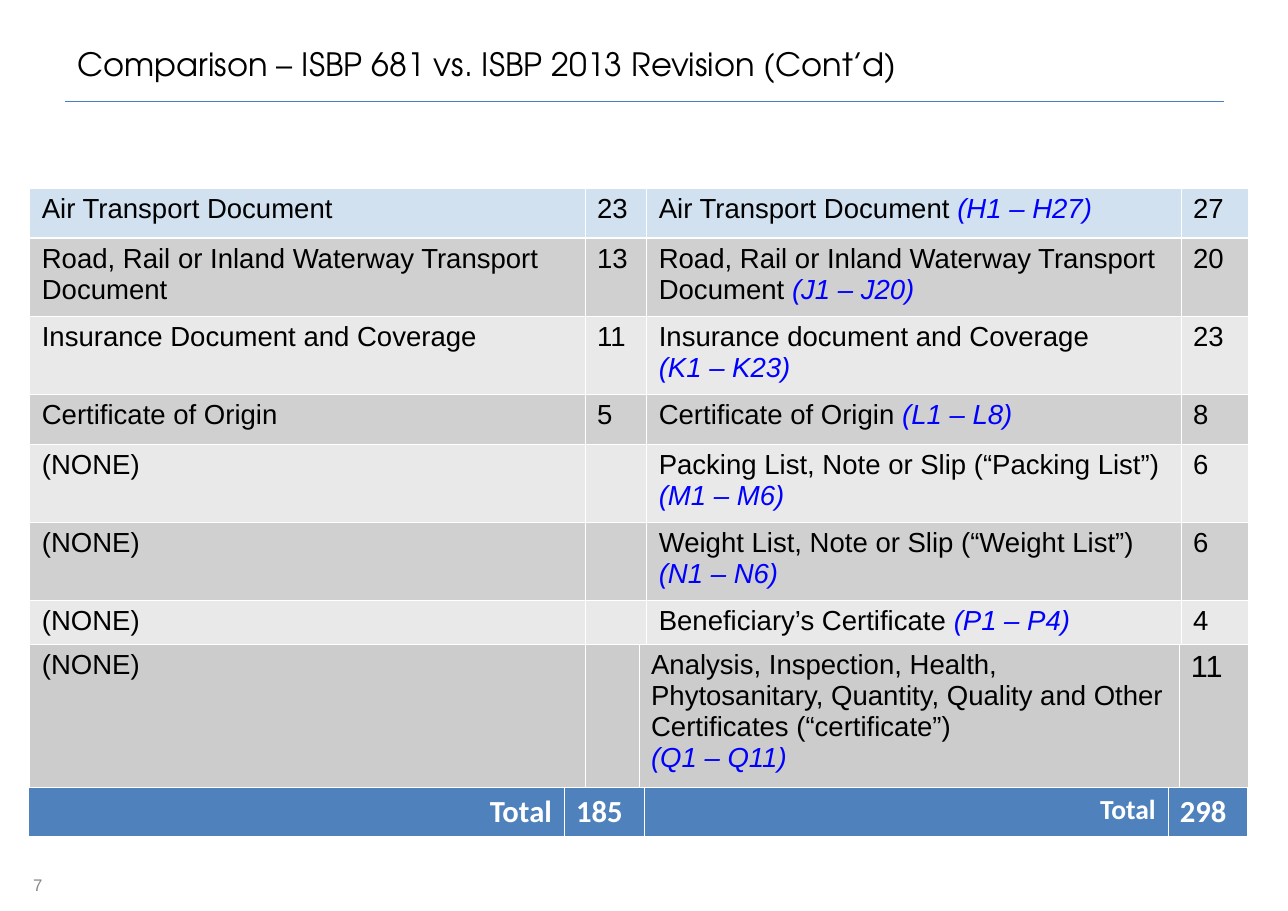
import pptx
import pptx.util
import pptx.dml.color
import pptx.enum.shapes
import pptx.enum.text
from lxml import etree
from pptx.oxml.ns import qn

Inches, Pt = pptx.util.Inches, pptx.util.Pt
RGBColor = pptx.dml.color.RGBColor
ALIGN = pptx.enum.text.PP_ALIGN

BLACK = RGBColor(0x00, 0x00, 0x00)
WHITE = RGBColor(0xFF, 0xFF, 0xFF)
BLUE = RGBColor(0x00, 0x00, 0xFF)
GREY = RGBColor(0x89, 0x89, 0x89)
RULE = RGBColor(0x4A, 0x7E, 0xBB)
HEADER_FILL = RGBColor(0xD1, 0xE1, 0xF0)
DARK_FILL = RGBColor(0xD0, 0xD0, 0xD0)
LIGHT_FILL = RGBColor(0xE9, 0xE9, 0xE9)
ANALYSIS_FILL = RGBColor(0xCC, 0xCC, 0xCC)
TOTAL_FILL = RGBColor(0x4F, 0x81, 0xBD)

# Content: each cell is a list of (text, format name); \v is a line break
TITLE = "Comparison – ISBP 681 vs. ISBP 2013 Revision (Cont’d)"
PAGE_NUMBER = "7"
NONE = "(NONE)"
DOCUMENTS = [  # old document, old count, new document, paragraphs, new count
    ("Air Transport Document", "23", "Air Transport Document ", "(H1 – H27)", "27"),
    ("Road, Rail or Inland Waterway Transport Document", "13",
     "Road, Rail or Inland Waterway Transport Document ", "(J1 – J20)", "20"),
    ("Insurance Document and Coverage", "11",
     "Insurance document and Coverage\v", "(K1 – K23)", "23"),
    ("Certificate of Origin", "5", "Certificate of Origin ", "(L1 – L8)", "8"),
    (NONE, "", "Packing List, Note or Slip (“Packing List”)\v", "(M1 – M6)", "6"),
    (NONE, "", "Weight List, Note or Slip (“Weight List”)\v", "(N1 – N6)", "6"),
    (NONE, "", "Beneficiary’s Certificate ", "(P1 – P4)", "4"),
]
ANALYSIS = (NONE, "", "Analysis, Inspection, Health, Phytosanitary, Quantity, "
            "Quality and Other Certificates (“certificate”)\v", "(Q1 – Q11)", "11")

FORMATS = {
    "title": dict(name="TeX Gyre Adventor", size=Pt(21), color=BLACK),
    "number": dict(name="Arial", size=Pt(11), color=GREY),
    "body": dict(name="Arial", size=Pt(18), color=BLACK),
    "large": dict(name="Arial", size=Pt(20), color=BLACK),
    "reference": dict(name="Arial", size=Pt(18), color=BLUE, italic=True),
    "total": dict(name="Calibri", size=Pt(20), color=WHITE, bold=True),
    "small total": dict(name="Calibri", size=Pt(18), color=WHITE, bold=True),
}


def document_row(document, count_format="body"):
    old, old_count, new, reference, new_count = document
    return [[(old, "body")], [(old_count, "body")],
            [(new, "body"), (reference, "reference")], [(new_count, count_format)]]


TOTALS = [[("Total", "total")], [("185", "total")],
          [("Total", "small total")], [("298", "total")]]

# Tables: left, top, column widths, row heights, rows, row fills, label alignment
BANDS = [HEADER_FILL] + [DARK_FILL, LIGHT_FILL] * 3
TABLES = [
    (0.27, 1.71, [5.04, 0.56, 4.85, 0.61], [0.45, 0.71, 0.71, 0.45, 0.71, 0.71, 0.45],
     [document_row(document) for document in DOCUMENTS], BANDS, ALIGN.LEFT),
    (0.27, 5.85, [5.04, 0.49, 4.9, 0.63], [1.31],
     [document_row(ANALYSIS, "large")], [ANALYSIS_FILL], ALIGN.LEFT),
    (0.26, 7.15, [4.86, 0.73, 4.75, 0.72], [0.45], [TOTALS], [TOTAL_FILL], ALIGN.RIGHT),
]


def write(para, spans):
    for text, format_name in spans:
        for index, line in enumerate(text.split("\v")):
            if index:
                para.add_line_break()
            if not line:
                continue
            span = para.add_run()
            span.text = line
            for key, value in FORMATS[format_name].items():
                if key == "color":
                    span.font.color.rgb = value
                else:
                    setattr(span.font, key, value)


def add_border(cell, side, width):
    line = etree.SubElement(cell._tc.get_or_add_tcPr(), qn("a:ln" + side), w=str(Pt(width)))
    fill = etree.SubElement(line, qn("a:solidFill"))
    etree.SubElement(fill, qn("a:srgbClr"), val=str(WHITE))


def add_grid(page, left, top, widths, heights, rows, fills, label_align):
    table = page.shapes.add_table(len(rows), len(widths), Inches(left), Inches(top),
                                  Inches(sum(widths)), Inches(sum(heights))).table
    table.first_row = table.horz_banding = False
    for column, width in zip(table.columns, widths):
        column.width = Inches(width)
    for r, (row, height, fill) in enumerate(zip(rows, heights, fills)):
        table.rows[r].height = Inches(height)
        for c, spans in enumerate(row):
            cell = table.cell(r, c)
            cell.margin_left = cell.margin_right = Inches(0.11)
            cell.margin_top = cell.margin_bottom = Inches(0.05)
            # The line under the first row is thicker
            for side in "LRTB":
                thick = (r, side) in ((0, "B"), (1, "T"))
                add_border(cell, side, 1.47 if thick else 0.45)
            cell.fill.solid()
            cell.fill.fore_color.rgb = fill
            para = cell.text_frame.paragraphs[0]
            para.alignment = ALIGN.LEFT if c % 2 else label_align
            write(para, spans)


def add_text(page, left, top, width, height, text, format_name):
    box = page.shapes.add_textbox(*map(Inches, (left, top, width, height)))
    frame = box.text_frame
    frame.word_wrap = True
    frame.vertical_anchor = pptx.enum.text.MSO_ANCHOR.MIDDLE
    frame.margin_left = frame.margin_right = Inches(0.11)
    frame.margin_top = frame.margin_bottom = Inches(0.06)
    write(frame.paragraphs[0], [(text, format_name)])


def main():
    deck = pptx.Presentation()
    deck.slide_width, deck.slide_height = Inches(11.69), Inches(8.27)
    page = deck.slides.add_slide(deck.slide_layouts[6])

    # Rule under the title
    rule = page.shapes.add_connector(pptx.enum.shapes.MSO_CONNECTOR.STRAIGHT,
                                     Inches(0.59), Inches(0.92), Inches(11.11), Inches(0.92))
    rule.line.color.rgb = RULE
    rule.line.width = Pt(0.75)
    etree.SubElement(rule._element.spPr, qn("a:effectLst"))

    # Comparison tables
    for table in TABLES:
        add_grid(page, *table)

    # Title and page number
    add_text(page, 0.59, 0.33, 10.52, 0.49, TITLE, "title")
    add_text(page, 0.19, 7.81, 2.73, 0.44, PAGE_NUMBER, "number")
    deck.save("out.pptx")


if __name__ == "__main__":
    main()
